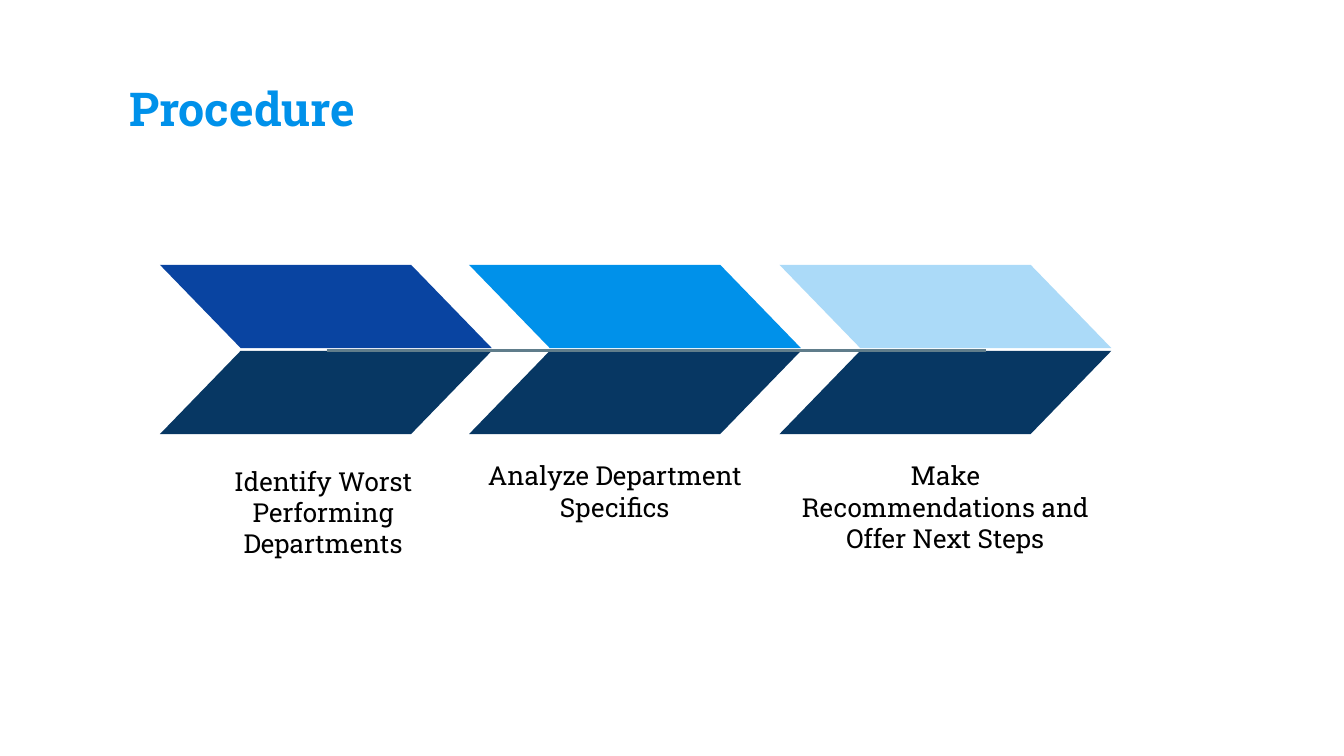
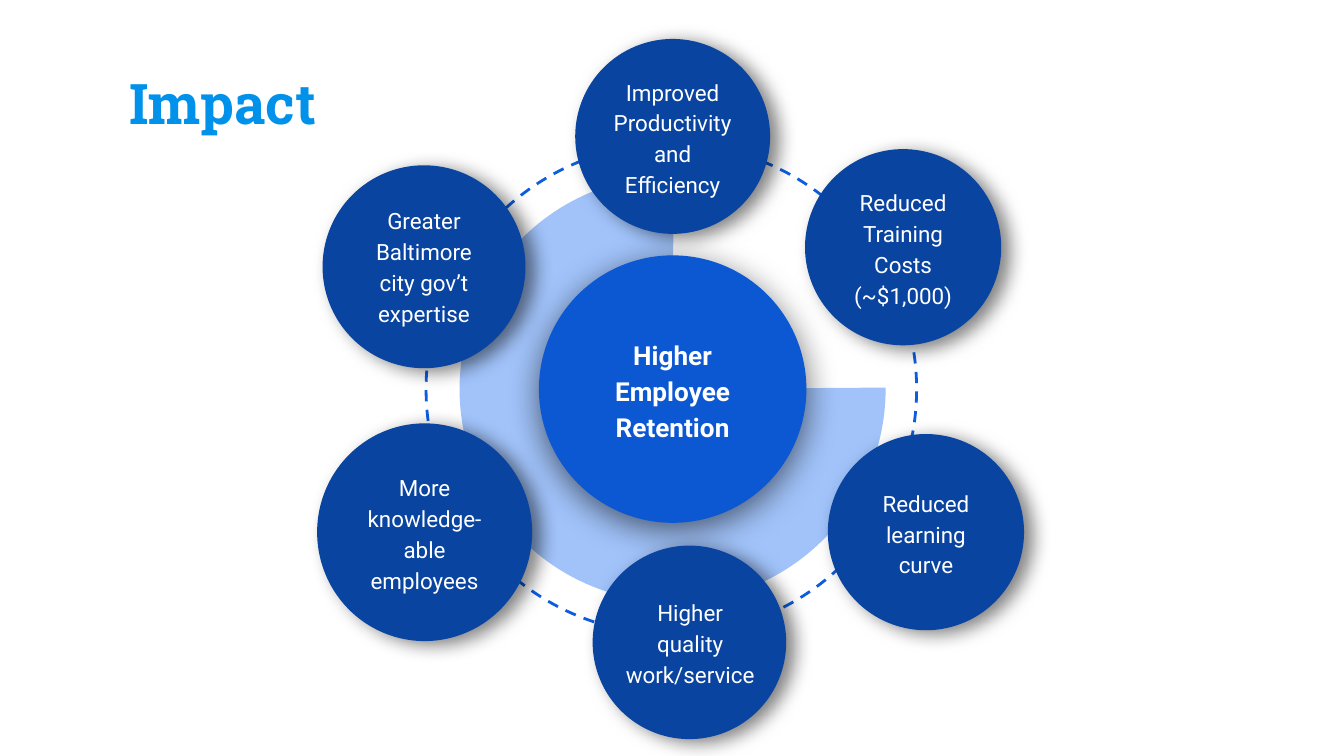
from lxml import etree
from pptx import Presentation
from pptx.dml.color import RGBColor
from pptx.enum import dml, shapes, text
from pptx.oxml import ns
from pptx.util import Inches, Pt

COLORS = {
    "title": "0091EA", "black": "000000", "white": "FFFFFF",
    "navy": "073763", "blue": "0944A1", "sky": "0091EA",
    "hub": "0C58D3", "ring": "0D5DDF", "pie": "A1C3FA", "axis": "607D8B",
}
SLAB, SANS = "Roboto Slab", "Roboto"
SHAPE = shapes.MSO_SHAPE
CENTER = text.PP_ALIGN.CENTER

# Shadows: opacity %, blur pt, distance pt, direction in degrees
HUB_SHADOW = (55, 18, 4, 90)
CIRCLE_SHADOW = (50, 10.1, 5.2, 24)


def rgb(name):
    return RGBColor.from_string(COLORS[name])


def sub(parent, tag, **attrs):
    return etree.SubElement(parent, ns.qn(tag), {k: str(v) for k, v in attrs.items()})


def set_alpha(color_element, percent):
    sub(color_element, "a:alpha", val=percent * 1000)


def write(tf, content, size, font, color, bold=False, align=CENTER,
          anchor=text.MSO_ANCHOR.TOP, spacing=None):
    """Fill a text frame; each line of content is a paragraph."""
    tf.word_wrap = True
    tf.auto_size = text.MSO_AUTO_SIZE.NONE
    tf.vertical_anchor = anchor
    tf.margin_left = tf.margin_right = tf.margin_top = tf.margin_bottom = Inches(0.1)
    tf.text = content
    for p in tf.paragraphs:
        p.alignment = align
        if spacing:
            p.line_spacing = spacing
        for r in p.runs:
            r.font.size = Pt(size)
            r.font.name = font
            r.font.bold = bold
            r.font.color.rgb = rgb(color)


def add_slide(prs, title, size):
    slide = prs.slides.add_slide(prs.slide_layouts[5])
    sp = slide.shapes.title
    sp.left, sp.top, sp.width, sp.height = map(Inches, (0.86, 0.34, 8.28, 0.77))
    write(sp.text_frame, title, size, SLAB, "title", bold=True,
          align=text.PP_ALIGN.LEFT, anchor=text.MSO_ANCHOR.BOTTOM)
    return slide


def add_shape(slide, kind, box, fill=None, alpha=None):
    sp = slide.shapes.add_shape(kind, *map(Inches, box))
    sp.shadow.inherit = False
    sp.line.fill.background()
    if fill is None:
        sp.fill.background()
    else:
        sp.fill.solid()
        sp.fill.fore_color.rgb = rgb(fill)
    if alpha:
        set_alpha(sp.element.spPr.find(".//" + ns.qn("a:srgbClr")), alpha)
    return sp


def add_text(slide, box, content, *style, **options):
    sp = slide.shapes.add_textbox(*map(Inches, box))
    write(sp.text_frame, content, *style, **options)


def add_shadow(sp, opacity, blur, distance, direction):
    effects = sp.element.spPr.find(ns.qn("a:effectLst"))
    shadow = sub(effects, "a:outerShdw", blurRad=int(Pt(blur)), dist=int(Pt(distance)),
                 dir=direction * 60000, algn="bl", rotWithShape=0)
    set_alpha(sub(shadow, "a:srgbClr", val=COLORS["black"]), opacity)


def add_arrow(slide, left, fill, alpha=None):
    """Draw a chevron from two mirrored parallelograms."""
    for top, color, opacity in ((1.97, fill, alpha), (2.61, "navy", None)):
        sp = add_shape(slide, SHAPE.PARALLELOGRAM, (left, top, 2.47, 0.62), color, opacity)
        sp.adjustments[0] = 0.97
        if color == fill:
            sp.element.spPr.find(ns.qn("a:xfrm")).set("flipH", "1")


def add_axis(slide, x1, x2, y):
    line = slide.shapes.add_connector(
        shapes.MSO_CONNECTOR.STRAIGHT, Inches(x1), Inches(y), Inches(x2), Inches(y))
    line.line.color.rgb = rgb("axis")
    line.line.width = Pt(1.5)
    sub(line.element.spPr, "a:effectLst")


def add_circle(slide, box, label, label_box=None, fill="blue", shadow=CIRCLE_SHADOW,
               size=12, bold=False):
    """Draw a shadowed circle, its label inside it or in a box of its own."""
    sp = add_shape(slide, SHAPE.OVAL, box, fill)
    add_shadow(sp, *shadow)
    style = dict(bold=bold, anchor=text.MSO_ANCHOR.MIDDLE, spacing=1.15)
    if label_box:
        add_text(slide, label_box, label, size, SANS, "white", **style)
    else:
        write(sp.text_frame, label, size, SANS, "white", **style)


def build_procedure(prs):
    slide = add_slide(prs, "Procedure", 25)
    for left, fill, alpha in ((3.49, "sky", None), (5.8, "sky", 33), (1.19, "blue", None)):
        add_arrow(slide, left, fill, alpha)
    steps = (
        ((1.32, 3.36, 2.17, 0.76), "Identify Worst Performing Departments"),
        ((3.49, 3.32, 2.17, 0.76), "Analyze Department Specifics"),
        ((5.8, 3.32, 2.47, 0.76), "Make Recommendations and Offer Next Steps"),
    )
    for box, label in steps:
        add_text(slide, box, label, 14, SLAB, "black")
    add_axis(slide, 2.43, 7.34, 2.61)


def build_impact(prs):
    slide = add_slide(prs, "Impact", 30)
    ring = add_shape(slide, SHAPE.OVAL, (3.17, 1.07, 3.65, 3.65))
    ring.rotation = 270
    ring.line.color.rgb = rgb("ring")
    ring.line.width = Pt(1.5)
    ring.line.dash_style = dml.MSO_LINE.DASH
    pie = add_shape(slide, SHAPE.PIE, (3.42, 1.31, 3.17, 3.17), "pie")
    pie.adjustments[0], pie.adjustments[1] = 215.77, 162.15

    add_circle(slide, (4.01, 1.9, 1.99, 1.99), "Higher Employee Retention",
               (4.27, 2.44, 1.47, 0.9), "hub", HUB_SHADOW, 14, True)
    benefits = (
        ((4.28, 0.29, 1.45, 1.45), "Improved Productivity and Efficiency",
         (4.44, 0.52, 1.13, 0.99)),
        ((4.41, 4.06, 1.44, 1.44), "Higher quality work/service",
         (4.54, 4.28, 1.19, 0.99)),
        ((2.4, 1.23, 1.51, 1.51), "Greater Baltimore city gov’t expertise",
         (2.62, 1.46, 1.07, 1.03)),
        ((5.99, 1.11, 1.46, 1.46), "Reduced Training Costs\n(~$1,000)",
         (6.2, 1.34, 1.04, 1)),
        ((2.36, 3.15, 1.6, 1.62), "More knowledge-\nable employees", None),
        ((6.16, 3.23, 1.46, 1.46), "Reduced learning curve",
         (6.37, 3.46, 1.04, 1)),
    )
    for box, label, label_box in benefits:
        add_circle(slide, box, label, label_box)


def main():
    prs = Presentation()
    prs.slide_width = Inches(10)
    prs.slide_height = prs.slide_width * 9 // 16
    build_procedure(prs)
    build_impact(prs)
    prs.save("out.pptx")


if __name__ == "__main__":
    main()
